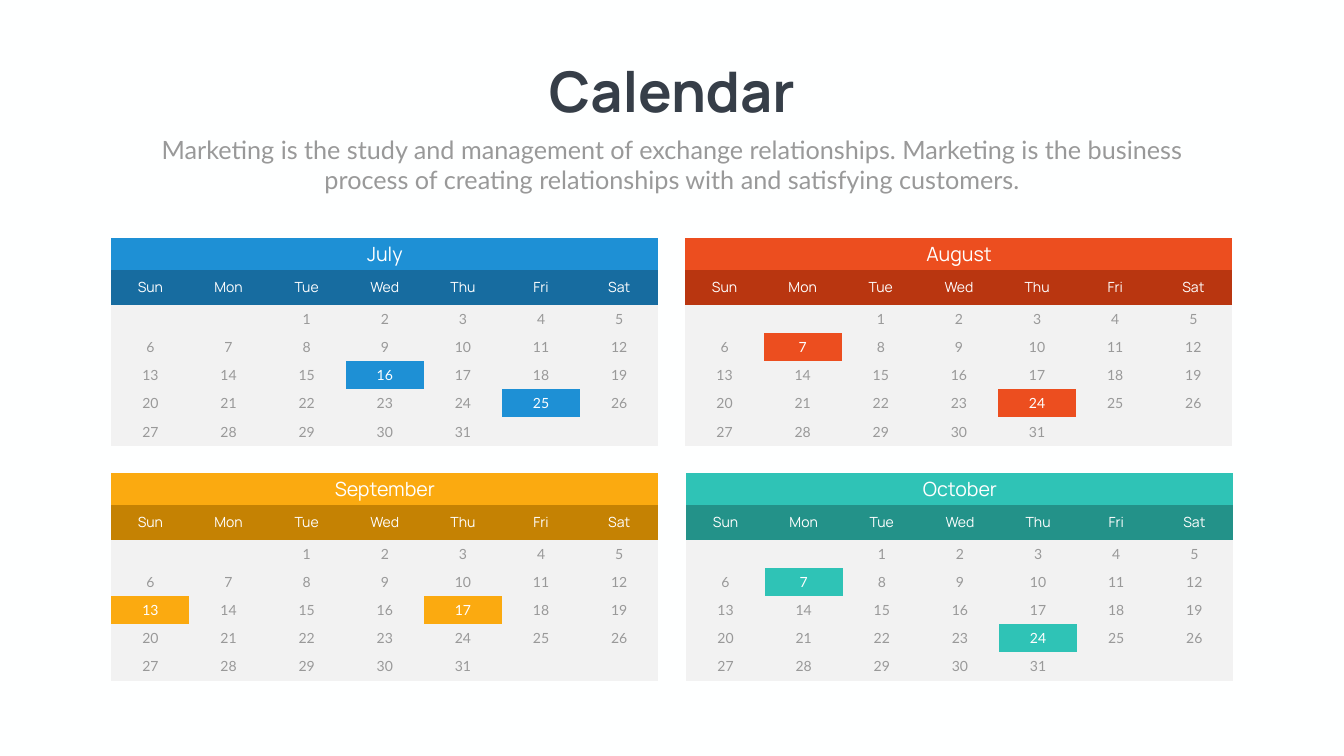
import pptx
import pptx.dml.color
import pptx.enum.text
import pptx.util

Cm = pptx.util.Cm
RGBColor = pptx.dml.color.RGBColor

PAPER = RGBColor(0xFE, 0xFF, 0xFF)
WHITE = RGBColor(0xFF, 0xFF, 0xFF)
INK = RGBColor(0x36, 0x3E, 0x48)
GRAY = RGBColor(0x99, 0x99, 0x99)
PALE = RGBColor(0xF2, 0xF2, 0xF2)
BLUE, DARK_BLUE = RGBColor(0x1E, 0x90, 0xD5), RGBColor(0x17, 0x6C, 0xA0)
RED, DARK_RED = RGBColor(0xEC, 0x4E, 0x1F), RGBColor(0xB9, 0x36, 0x10)
AMBER, DARK_AMBER = RGBColor(0xFB, 0xAA, 0x10), RGBColor(0xC5, 0x82, 0x03)
TEAL, DARK_TEAL = RGBColor(0x2F, 0xC3, 0xB6), RGBColor(0x23, 0x92, 0x89)

WEEKDAYS = ["Sun", "Mon", "Tue", "Wed", "Thu", "Fri", "Sat"]
ROW_HEIGHTS = [1.6, 1.75] + [1.42] * 5
FIRST_WEEKDAY = 2
LAST_DAY = 31
PLAIN_TABLE = "{2D5ABB26-0587-4C30-8999-92F81FD0307C}"
TOP_ROW, BOTTOM_ROW = 12.01, 23.85
MONTHS = [
    ("July", 5.61, TOP_ROW, BLUE, DARK_BLUE, {16, 25}),
    ("August", 34.54, TOP_ROW, RED, DARK_RED, {7, 24}),
    ("September", 5.61, BOTTOM_ROW, AMBER, DARK_AMBER, {13, 17}),
    ("October", 34.59, BOTTOM_ROW, TEAL, DARK_TEAL, {7, 24}),
]


class CalendarSlide:
    """Holds the fonts and the slide, and draws headings and month tables."""

    heading_font = "Manrope"
    body_font = "Lato"

    def __init__(self, slide):
        self.slide = slide
        slide.background.fill.solid()
        slide.background.fill.fore_color.rgb = PAPER

    def centered_run(self, frame, text, size, font, color, bold=False):
        paragraph = frame.paragraphs[0]
        paragraph.alignment = pptx.enum.text.PP_ALIGN.CENTER
        run = paragraph.add_run()
        run.text = text
        run.font.size = pptx.util.Pt(size)
        run.font.name = font
        run.font.bold = bold
        run.font.color.rgb = color

    def text(self, left, top, width, height, wrap, margin, *style):
        frame = self.slide.shapes.add_textbox(
            Cm(left), Cm(top), Cm(width), Cm(height)).text_frame
        frame.word_wrap = wrap
        frame.auto_size = pptx.enum.text.MSO_AUTO_SIZE.SHAPE_TO_FIT_TEXT
        frame.margin_top = frame.margin_bottom = Cm(margin)
        self.centered_run(frame, *style)

    def cell(self, cell, fill, text, *style):
        cell.fill.solid()
        cell.fill.fore_color.rgb = fill
        cell.vertical_anchor = pptx.enum.text.MSO_ANCHOR.MIDDLE
        cell.margin_top = cell.margin_bottom = 0
        if text:
            self.centered_run(cell.text_frame, text, *style)

    def month(self, name, left, top, accent, dark, marked_days):
        holder = self.slide.shapes.add_table(
            len(ROW_HEIGHTS), len(WEEKDAYS), Cm(left), Cm(top),
            Cm(27.56), Cm(sum(ROW_HEIGHTS)))
        for style_id in holder.element.iter("{*}tableStyleId"):
            style_id.text = PLAIN_TABLE
        calendar = holder.table
        calendar.first_row = calendar.horz_banding = False
        for row, height in zip(calendar.rows, ROW_HEIGHTS):
            row.height = Cm(height)

        calendar.cell(0, 0).merge(calendar.cell(0, len(WEEKDAYS) - 1))
        self.cell(calendar.cell(0, 0), accent, name, 28, self.heading_font, WHITE)
        for column, weekday in enumerate(WEEKDAYS):
            self.cell(calendar.cell(1, column), dark, weekday,
                      20, self.heading_font, WHITE)
            for week in range(len(ROW_HEIGHTS) - 2):
                day = week * len(WEEKDAYS) + column - FIRST_WEEKDAY + 1
                label = str(day) if 1 <= day <= LAST_DAY else ""
                fill, color = (accent, WHITE) if day in marked_days else (PALE, GRAY)
                self.cell(calendar.cell(week + 2, column), fill, label,
                          20, self.body_font, color)


def main():
    deck = pptx.Presentation()
    deck.slide_width, deck.slide_height = Cm(67.72), Cm(38.1)
    page = CalendarSlide(deck.slides.add_slide(deck.slide_layouts[6]))
    page.text(26.75, 2.84, 14.22, 3.68, False, 0,
              "Calendar", 80, page.heading_font, INK, True)
    page.text(7.42, 6.63, 52.88, 3.33, True, 0.13,
              "Marketing is the study and management of exchange relationships. "
              "Marketing is the business process of creating relationships with "
              "and satisfying customers.", 36, page.body_font, GRAY)
    for month in MONTHS:
        page.month(*month)
    deck.save("out.pptx")


if __name__ == "__main__":
    main()
